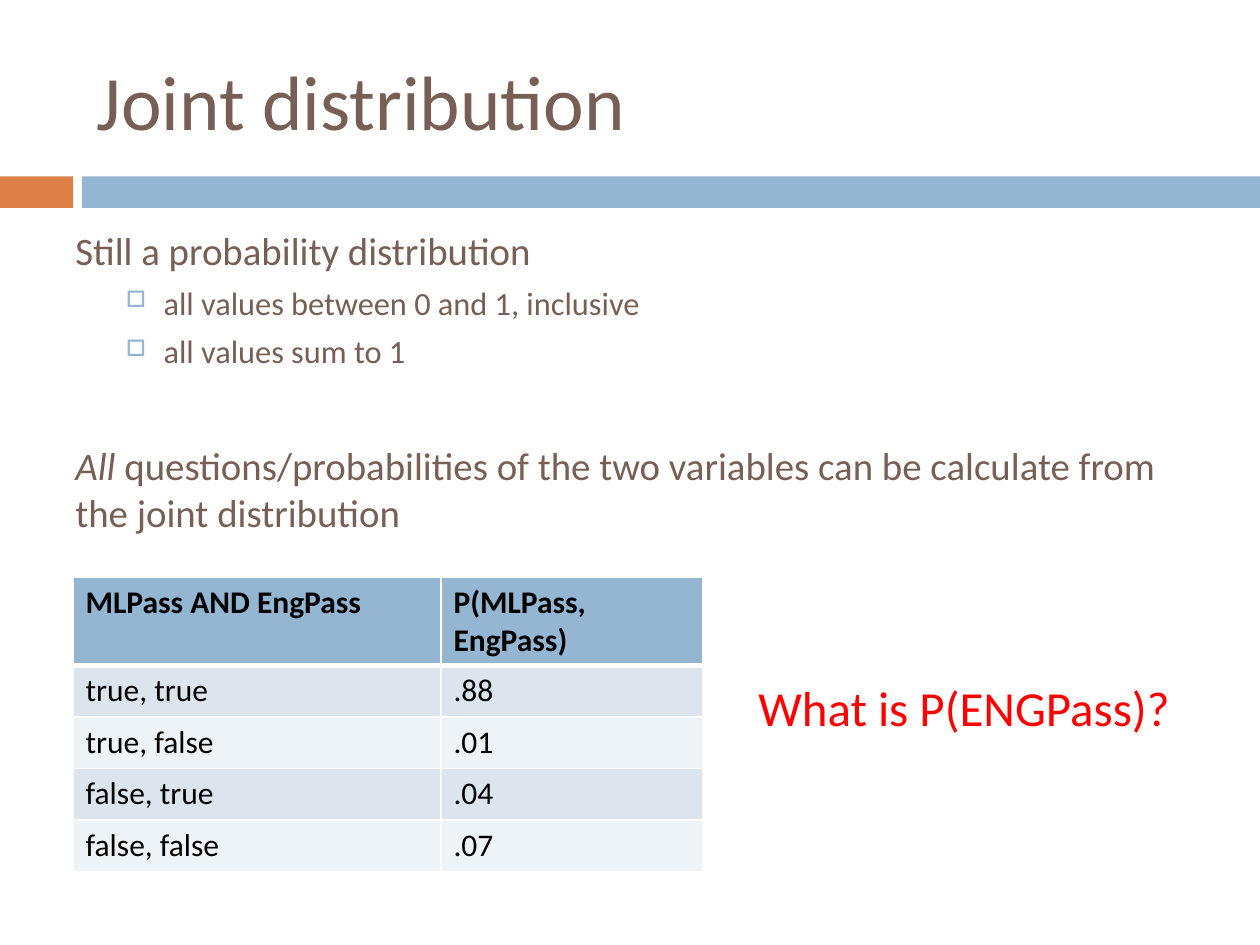
from dataclasses import dataclass

from lxml import etree
from pptx import Presentation
from pptx import util as u
from pptx.dml.color import RGBColor
from pptx.enum import shapes, text
from pptx.oxml.ns import qn


@dataclass(frozen=True)
class Theme:
    font: str = "Calibri"
    brown: str = "775F55"
    blue: str = "94B6D2"
    orange: str = "DD8047"
    red: str = "FF0000"
    black: str = "000000"
    white: str = "FFFFFF"
    bands: tuple = ("DCE5EE", "EEF3F7")
    title: float = 44
    question: float = 28
    body: float = 22.2
    bullet: float = 18.5
    cell: float = 18


theme = Theme()


def add_run(p, wording, size, color, **formats):
    r = p.add_run()
    r.text = wording
    r.font.color.rgb = RGBColor.from_string(color)
    for name, value in {"name": theme.font, "size": u.Pt(size), **formats}.items():
        setattr(r.font, name, value)


def add_text_box(left, top, width, height, anchor=text.MSO_ANCHOR.TOP):
    """Add a wrapping text box and return its text frame."""
    box = s.shapes.add_textbox(*map(u.Inches, (left, top, width, height)))
    tf = box.text_frame
    tf.word_wrap = True
    tf.vertical_anchor = anchor
    return tf


prs = Presentation()
prs.slide_width, prs.slide_height = u.Inches(10), u.Inches(7.5)
s = prs.slides.add_slide(prs.slide_layouts[6])

# Divider bars
for left, width, color in ((0, 0.58, theme.orange), (0.65, 9.35, theme.blue)):
    bar = s.shapes.add_shape(
        shapes.MSO_SHAPE.RECTANGLE, *map(u.Inches, (left, 1.4, width, 0.25))
    )
    bar.shadow.inherit = False
    bar.fill.solid()
    bar.fill.fore_color.rgb = RGBColor.from_string(color)
    bar.line.fill.background()

# Title
tf = add_text_box(0.67, 0.25, 8.92, 1.08, text.MSO_ANCHOR.MIDDLE)
add_run(tf.paragraphs[0], "Joint distribution", theme.title, theme.brown)

# Joint probability table
rows = (
    ("MLPass AND EngPass", "P(MLPass, EngPass)"),
    ("true, true", ".88"),
    ("true, false", ".01"),
    ("false, true", ".04"),
    ("false, false", ".07"),
)
table = s.shapes.add_table(
    len(rows), 2, *map(u.Inches, (0.58, 4.58, 5, 2.05))
).table
for column, width in zip(table.columns, (2.92, 2.08)):
    column.width = u.Inches(width)
for i, row in enumerate(rows):
    table.rows[i].height = u.Inches(0.41)
    header = i == 0
    fill = theme.blue if header else theme.bands[(i - 1) % 2]
    for j, wording in enumerate(row):
        cell = table.cell(i, j)
        add_run(cell.text_frame.paragraphs[0], wording, theme.cell, theme.black, bold=header)
        tcPr = cell._tc.get_or_add_tcPr()
        for side in "LRTB":
            thick = (header and side == "B") or (i == 1 and side == "T")
            ln = etree.SubElement(tcPr, qn(f"a:ln{side}"), w=str(u.Pt(3 if thick else 1)))
            solid = etree.SubElement(ln, qn("a:solidFill"))
            etree.SubElement(solid, qn("a:srgbClr"), val=theme.white)
        cell.fill.solid()
        cell.fill.fore_color.rgb = RGBColor.from_string(fill)

# Question
tf = add_text_box(5.92, 5.33, 4.25, 0.57)
add_run(tf.paragraphs[0], "What is P(ENGPass)?", theme.question, theme.red)

# Body
tf = add_text_box(0.5, 1.75, 9, 2.33)
p = tf.paragraphs[0]
p.space_before = u.Pt(7)
add_run(p, "Still a probability distribution", theme.body, theme.brown)

for wording in ("all values between 0 and 1, inclusive", "all values sum to 1"):
    p = tf.add_paragraph()
    p.level = 1
    p.space_before = u.Pt(5.5)
    add_run(p, wording, theme.bullet, theme.brown)
    pPr = p._p.get_or_add_pPr()
    pPr.set("marL", str(u.Inches(0.7)))
    pPr.set("indent", str(u.Inches(-0.3)))
    bullet_color = etree.SubElement(pPr, qn("a:buClr"))
    etree.SubElement(bullet_color, qn("a:srgbClr"), val=theme.blue)
    etree.SubElement(pPr, qn("a:buSzPct"), val="70000")
    etree.SubElement(pPr, qn("a:buChar"), char="□")

p = tf.add_paragraph()
p.space_before = u.Pt(41)
add_run(p, "All", theme.body, theme.brown, italic=True)
add_run(
    p,
    " questions/probabilities of the two variables can be calculate from the joint distribution",
    theme.body,
    theme.brown,
)

prs.save("out.pptx")
